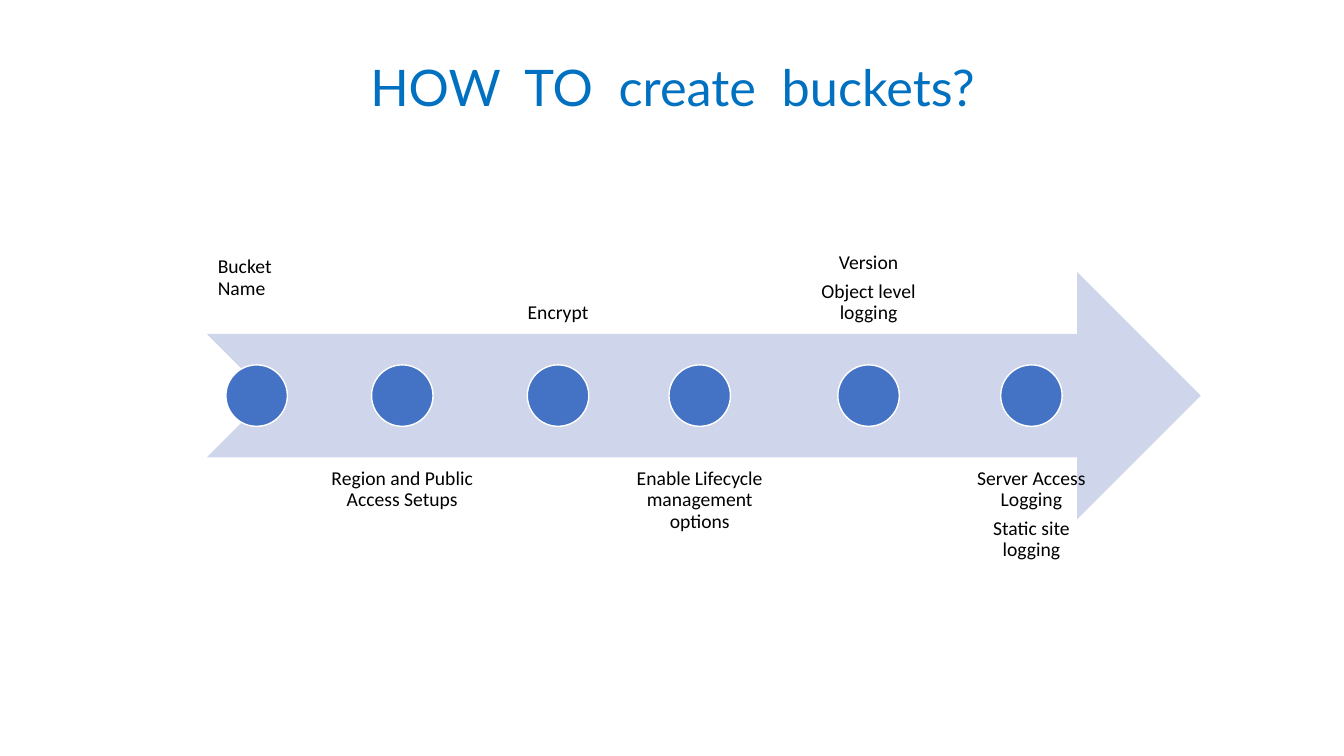
from pptx import Presentation
from pptx.dml.color import RGBColor
from pptx.enum.shapes import MSO_SHAPE as Shape
from pptx.enum.text import MSO_ANCHOR as Anchor, PP_ALIGN as Align
from pptx.util import Inches, Pt


def color(code):
    return RGBColor.from_string(code)


class BucketSlide:
    TITLE_COLOR, TEXT_COLOR = "0070C0", "000000"
    ARROW_COLOR, DOT_COLOR, DOT_EDGE = "CFD5EA", "4472C4", "FFFFFF"
    TITLE_FONT, LABEL_FONT = "Lato", "Calibri"
    INSET = 0.11

    def __init__(self, deck):
        self.slide = deck.slides.add_slide(deck.slide_layouts[6])

    def text(self, content, left, top, width, height, size, font, code, align):
        box = self.slide.shapes.add_textbox(
            Inches(left), Inches(top), Inches(width), Inches(height))
        frame = box.text_frame
        frame.text = content
        for paragraph in frame.paragraphs:
            paragraph.alignment = align
            for run in paragraph.runs:
                run.font.size = Pt(size)
                run.font.name = font
                run.font.color.rgb = color(code)
        return frame

    def title(self, content, left, top, width, height):
        frame = self.text(content, left, top, width, height, 36,
                          self.TITLE_FONT, self.TITLE_COLOR, Align.CENTER)
        frame.word_wrap = False

    def label(self, content, left, top, width, height, anchor,
              align=Align.CENTER, lift=0):
        frame = self.text(content, left, top, width, height, 14,
                          self.LABEL_FONT, self.TEXT_COLOR, align)
        frame.word_wrap = True
        frame.vertical_anchor = anchor
        frame.margin_left = frame.margin_right = frame.margin_top = Inches(self.INSET)
        frame.margin_bottom = Inches(self.INSET + lift)
        for paragraph in frame.paragraphs:
            paragraph.line_spacing = 0.9
            paragraph.space_after = Pt(5)

    def shape(self, kind, left, top, width, height, fill, edge=None):
        figure = self.slide.shapes.add_shape(
            kind, Inches(left), Inches(top), Inches(width), Inches(height))
        figure.shadow.inherit = False
        figure.fill.solid()
        figure.fill.fore_color.rgb = color(fill)
        if edge:
            figure.line.color.rgb = color(edge)
            figure.line.width = Pt(1)
        else:
            figure.line.fill.background()

    def arrow(self, left, top, width, height):
        self.shape(Shape.NOTCHED_RIGHT_ARROW, left, top, width, height,
                   self.ARROW_COLOR)

    def dot(self, center_x, center_y, size):
        self.shape(Shape.OVAL, center_x - size / 2, center_y - size / 2,
                   size, size, self.DOT_COLOR, self.DOT_EDGE)


# Steps in order, each with the width of its label
STEPS = [
    ("Bucket Name", 0.99),
    ("Region and Public Access Setups", 1.8),
    ("Encrypt", 1.19),
    ("Enable Lifecycle management options", 1.52),
    ("Version\nObject level logging", 1.73),
    ("Server Access Logging\nStatic site logging", 1.4),
]
ARROW_LEFT, ARROW_TOP, ARROW_WIDTH, BAND = 2.05, 2.7, 9.86, 2.45
ABOVE, BELOW = 0.87, 4.54
GAP, DOT_SIZE = 0.05, 0.61


def main():
    deck = Presentation()
    deck.slide_width, deck.slide_height = Inches(13.33), Inches(7.5)
    page = BucketSlide(deck)

    # Title
    page.title("HOW  TO  create  buckets?", 3.13, 0.51, 7.08, 0.71)

    # Timeline arrow
    page.arrow(ARROW_LEFT, ARROW_TOP, ARROW_WIDTH, BAND)

    # Steps, alternating above and below the arrow
    left = ARROW_LEFT
    for index, (step, width) in enumerate(STEPS):
        top, anchor = (BELOW, Anchor.TOP) if index % 2 else (ABOVE, Anchor.BOTTOM)
        # The first label is left-aligned and sits one line higher
        first = {"align": Align.LEFT, "lift": 0.28} if index == 0 else {}
        page.label(step, left, top, width, BAND, anchor, **first)
        page.dot(left + width / 2, ARROW_TOP + BAND / 2, DOT_SIZE)
        left += width + GAP

    deck.save("out.pptx")


if __name__ == "__main__":
    main()
